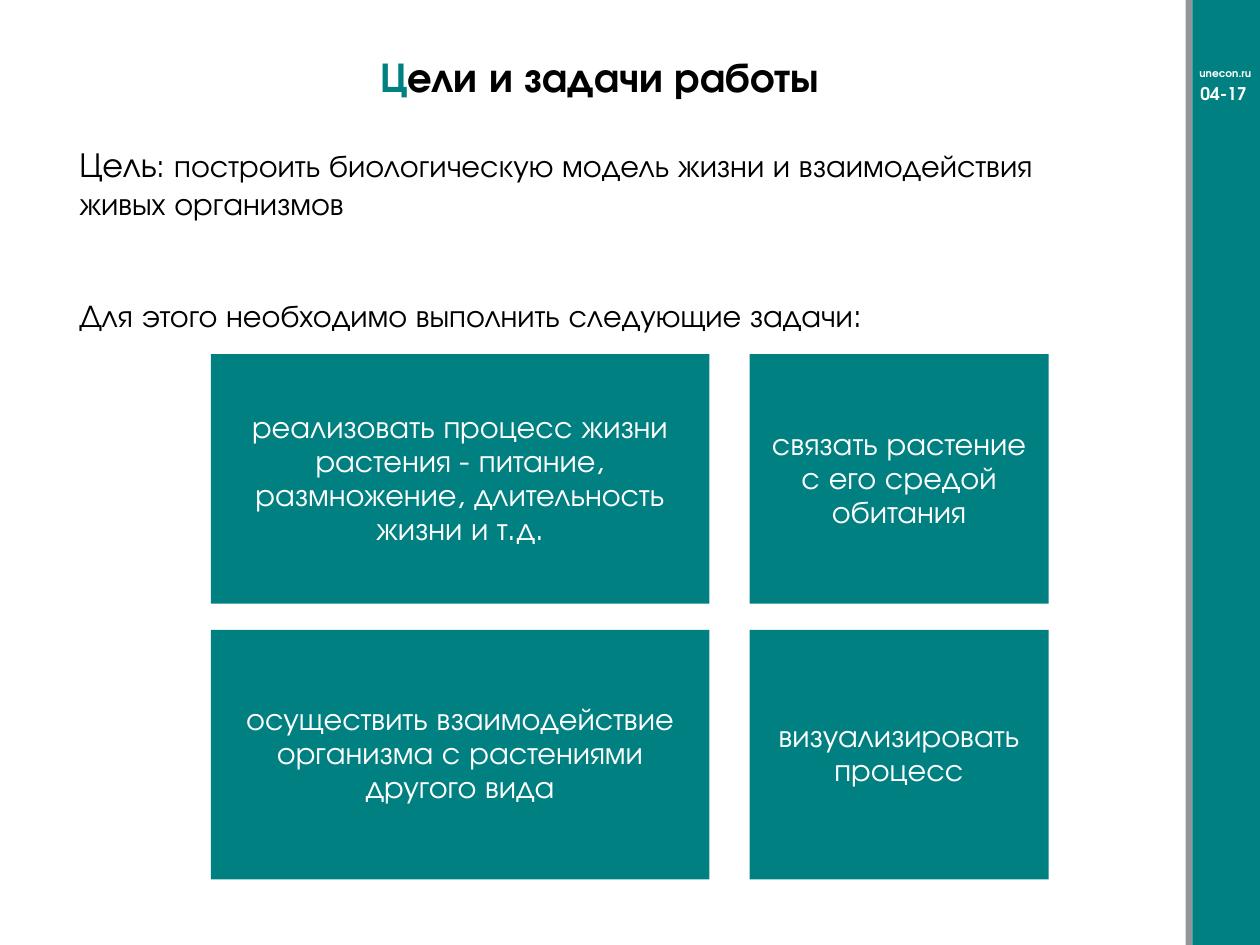
from pptx import Presentation
from pptx.dml.color import RGBColor
from pptx.enum.shapes import MSO_SHAPE
from pptx.enum.text import MSO_ANCHOR, MSO_AUTO_SIZE, PP_ALIGN
from pptx.util import Cm, Pt

RECTANGLE = MSO_SHAPE.RECTANGLE
TOP, MIDDLE = MSO_ANCHOR.TOP, MSO_ANCHOR.MIDDLE
LEFT, CENTER = PP_ALIGN.LEFT, PP_ALIGN.CENTER
NO_AUTOFIT = MSO_AUTO_SIZE.NONE

FONT = "TeX Gyre Adventor"
COLORS = {"teal": "008080", "gray": "939598", "white": "FFFFFF", "black": "000000"}

TASKS = [
    ["реализовать процесс жизни растения - питание, размножение, длительность жизни и т.д.",
     "связать растение с его средой обитания"],
    ["осуществить взаимодействие организма с растениями другого вида",
     "визуализировать процесс"],
]


def color(name):
    return RGBColor.from_string(COLORS[name])


def add_run(paragraph, text, size, color_name="black", bold=False):
    run = paragraph.add_run()
    run.text = text
    run.font.name = FONT
    run.font.size = Pt(size)
    run.font.bold = bold
    run.font.color.rgb = color(color_name)


def add_block(slide, box, fill):
    block = slide.shapes.add_shape(RECTANGLE, *map(Cm, box))
    block.shadow.inherit = False
    block.fill.solid()
    block.fill.fore_color.rgb = color(fill)
    block.line.fill.background()
    return block


def add_label(slide, box, align=LEFT, anchor=TOP):
    """Add a wrapping text box and return its first paragraph."""
    frame = slide.shapes.add_textbox(*map(Cm, box)).text_frame
    frame.word_wrap = True
    frame.vertical_anchor = anchor
    paragraph = frame.paragraphs[0]
    paragraph.alignment = align
    return paragraph


def add_sidebar(slide, box):
    left, top, width, height = box
    stripe = 0.14
    add_block(slide, (left, top, stripe, height), "gray")
    add_block(slide, (left + stripe, top, width - stripe, height), "teal")
    site = add_label(slide, (left + 0.03, top + 1.22, 1.57, 0.51), anchor=MIDDLE)
    add_run(site, "unecon.ru", 6, "white", True)
    number = add_label(slide, (left + 0.03, top + 1.55, 1.47, 0.69), CENTER)
    add_run(number, "04-17", 10, "white", True)


def add_title(slide, box):
    title = slide.shapes.title
    title.left, title.top, title.width, title.height = map(Cm, box)
    frame = title.text_frame
    frame.auto_size = NO_AUTOFIT
    frame.word_wrap = False
    frame.vertical_anchor = TOP
    heading = frame.paragraphs[0]
    heading.alignment = LEFT
    add_run(heading, "Ц", 24, "teal", True)
    add_run(heading, "ели и задачи работы", 24, bold=True)


def add_goal(slide, box):
    left, top, width, height = box
    goal = add_label(slide, (left, top, width, 1.88))
    add_run(goal, "Цель", 20)
    add_run(goal, ": построить биологическую модель жизни и взаимодействия", 18)
    goal.add_line_break()
    add_run(goal, "живых организмов", 18)
    lead_in = add_label(slide, (left, top + height - 1.02, width, 1.02))
    add_run(lead_in, "Для этого необходимо выполнить следующие задачи:", 18)


def add_task(slide, box, text):
    frame = add_block(slide, box, "teal").text_frame
    frame.word_wrap = True
    frame.vertical_anchor = MIDDLE
    frame.margin_left = frame.margin_right = Cm(0.18)
    frame.margin_top = frame.margin_bottom = Cm(0.18)
    task = frame.paragraphs[0]
    task.alignment = CENTER
    task.line_spacing = 0.9
    add_run(task, text, 18, "white")


def add_tasks(slide, box):
    """Lay the tasks out in a grid with a wide and a narrow column."""
    left, top, width, height = box
    column_gap, row_gap, wide = 0.81, 0.53, 10.05
    columns = [(left, wide), (left + wide + column_gap, width - wide - column_gap)]
    card_height = (height - row_gap) / 2
    for row, texts in enumerate(TASKS):
        card_top = top + row * (card_height + row_gap)
        for (card_left, card_width), text in zip(columns, texts):
            add_task(slide, (card_left, card_top, card_width, card_height), text)


def main():
    prs = Presentation()
    prs.slide_width, prs.slide_height = Cm(25.4), Cm(19.05)
    slide = prs.slides.add_slide(prs.slide_layouts[5])
    add_sidebar(slide, (23.9, 0, 1.5, 19.05))
    add_title(slide, (7.42, 0.89, 10.57, 1.27))
    add_goal(slide, (1.35, 2.74, 21.95, 4.12))
    add_tasks(slide, (4.25, 7.14, 16.89, 10.59))
    prs.save("out.pptx")


if __name__ == "__main__":
    main()
